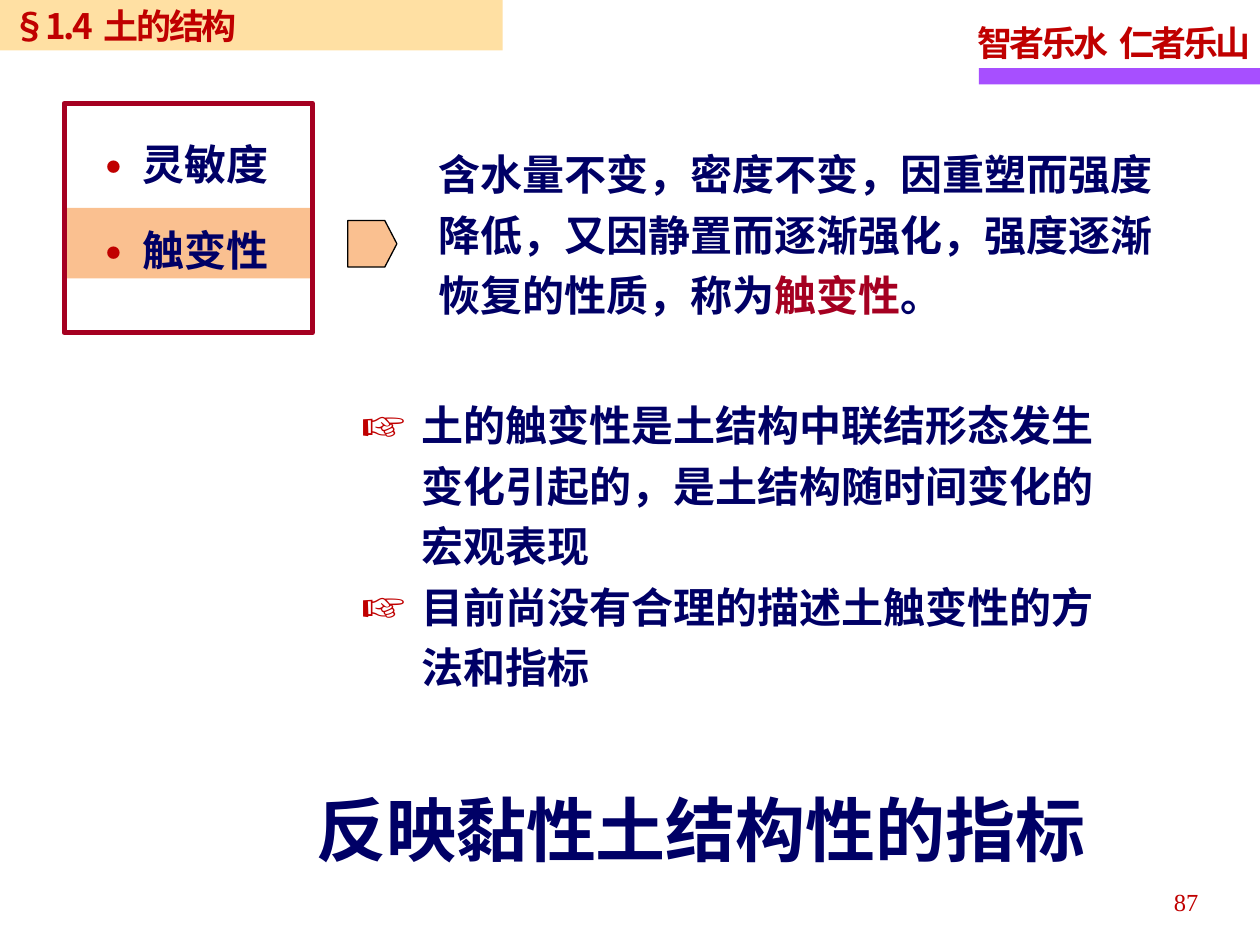
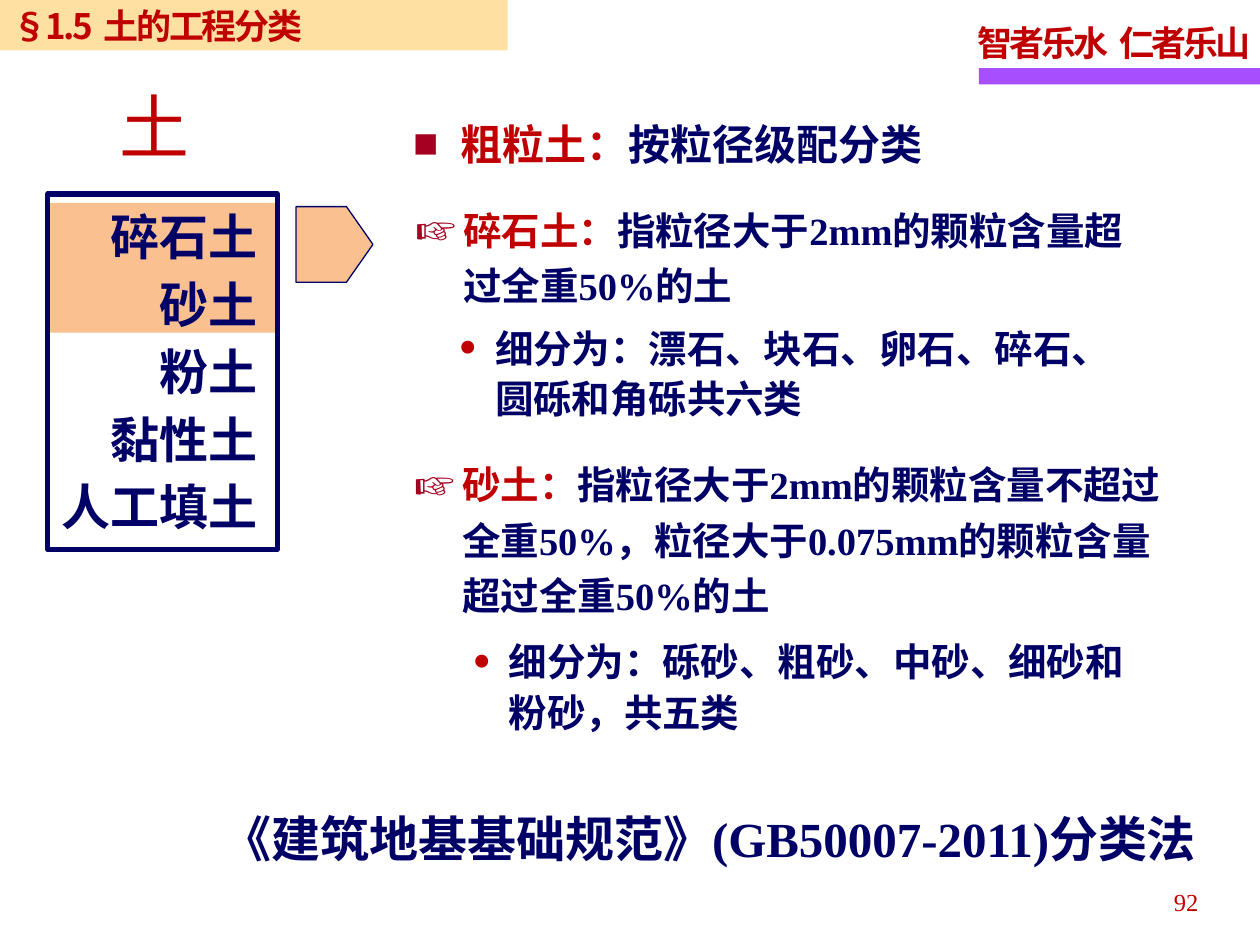
from lxml.etree import SubElement
from pptx import Presentation
from pptx.dml.color import RGBColor
from pptx.enum.shapes import MSO_SHAPE
from pptx.enum.text import MSO_ANCHOR, MSO_AUTO_SIZE, PP_ALIGN
from pptx.oxml.ns import qn
from pptx.util import Inches, Pt

rgb = RGBColor.from_string
NAVY, RED, WINE = "000066", "C00000", "A50021"
PEACH, SAND, VIOLET = "FAC090", "FFCC66", "A74FFF"
TIMES, NOTO, ARIAL = "Times New Roman", "Noto Sans CJK SC", "Arial"
RECT, ARROW = MSO_SHAPE.RECTANGLE, MSO_SHAPE.PENTAGON

prs = Presentation()
prs.slide_width, prs.slide_height = Inches(10), Inches(7.5)
col, row = prs.slide_width / 100, prs.slide_height / 75


def place(s, at, kind=None, fill=None, line=None, width=3, adj=None):
    x, y, w, h = at
    box = int(x * col), int(y * row), int(w * col), int(h * row)
    if kind is None:
        return s.shapes.add_textbox(*box)
    sp = s.shapes.add_shape(kind, *box)
    sp.shadow.inherit = False
    if adj:
        sp.adjustments[0] = adj
    if fill:
        sp.fill.solid()
        sp.fill.fore_color.rgb = rgb(fill)
    else:
        sp.fill.background()
    if line:
        sp.line.color.rgb = rgb(line)
        sp.line.width = Pt(width)
    else:
        sp.line.fill.background()
    return sp


def write(sp, paras, size, ls=1, font=TIMES, bold=True, al=PP_ALIGN.LEFT,
          bullet=None, gap=0, inset=None, wrap=True):
    tf = sp.text_frame
    tf.word_wrap = wrap
    tf.auto_size = MSO_AUTO_SIZE.NONE
    if inset is not None:
        tf.margin_left = tf.margin_right = int(inset * col)
        tf.margin_top = tf.margin_bottom = int(inset * row)
    for i, runs in enumerate(paras):
        p = tf.add_paragraph() if i else tf.paragraphs[0]
        if bullet:
            char, color, scale, indent = bullet
            pPr = p._p.get_or_add_pPr()
            pPr.set("marL", str(int(indent * col)))
            pPr.set("indent", str(-int(indent * col)))
            SubElement(SubElement(pPr, qn("a:buClr")), qn("a:srgbClr")).set("val", color)
            SubElement(pPr, qn("a:buSzPct")).set("val", str(scale * 1000))
            SubElement(pPr, qn("a:buFont")).set("typeface", font)
            SubElement(pPr, qn("a:buChar")).set("char", char)
        p.alignment = al
        p.line_spacing = Pt(round(size * 1.2 * ls, 1))
        p.space_before = Pt(gap if i else 0)
        p.space_after = Pt(0)
        for text, color, *spc in runs:
            r = p.add_run()
            r.text = text
            r.font.size, r.font.bold, r.font.name = Pt(size), bold, font
            r.font.color.rgb = rgb(color)
            rPr = r._r.get_or_add_rPr()
            SubElement(rPr, qn("a:ea")).set("typeface", NOTO)
            if spc:
                rPr.set("spc", str(int(spc[0] * 100)))


hand = "☞", WINE, 130, 3.8
dot = "•", RED, 140, 2.9

slides = [
    dict(
        title=("§1.4", "土的结构"), band=39.9, number="87",
        shapes=[
            dict(at=(5.1, 16.5, 19.7, 5.6), kind=RECT, fill=PEACH),
            dict(at=(27.6, 17.5, 3.9, 3.7), kind=ARROW, fill=PEACH,
                 line="000000", width=0.75, adj=0.26),
            dict(at=(5.1, 8.2, 19.7, 18.2), kind=RECT, line=WINE),
        ],
        texts=[
            ((33.8, 10.5, 61.7, 15.6), dict(size=24, ls=1.2, paras=[[
                ("含水量不变，密度不变，因重塑而强度降低，又因静置而逐渐强化，"
                 "强度逐渐恢复的性质，称为", NAVY), ("触变性", WINE), ("。", NAVY)]])),
            ((25.1, 62.4, 66.9, 7.7), dict(size=40, inset=0, paras=[
                [("反映黏性土结构性的指标", NAVY)]])),
            ((27.7, 30.4, 61.7, 25.2), dict(size=24, ls=1.2, bullet=("☞", RED, 130, 4.8), paras=[
                [("土的触变性是土结构中联结形态发生变化引起的，是土结构随时间变化的宏观表现", NAVY)],
                [("目前尚没有合理的描述土触变性的方法和指标", NAVY)]])),
            ((5.7, 8.7, 17.7, 13.8), dict(
                size=24, ls=1.45, font=NOTO, gap=7.2, bullet=("•", RED, 140, 4.4),
                paras=[[("灵敏度", NAVY)], [("触变性", NAVY)]])),
        ]),
    dict(
        title=("§1.5", "土的工程分类"), band=40.3, number="92",
        shapes=[
            dict(at=(3.8, 16.1, 18.2, 10.3), kind=RECT, fill=PEACH),
            dict(at=(3.8, 15.4, 18.2, 28.2), kind=RECT, line=NAVY),
            dict(at=(23.5, 16.4, 6.1, 6), kind=ARROW, fill=PEACH,
                 line=NAVY, width=0.75, adj=0.35),
        ],
        texts=[
            ((4.2, 15.7, 16.2, 27.1), dict(
                size=28, ls=1.15, font=ARIAL, al=PP_ALIGN.RIGHT, inset=0,
                paras=[[(soil, NAVY)] for soil in
                       ("碎石土", "砂土", "粉土", "黏性土", "人工填土")])),
            ((8.5, 6.1, 7.9, 7.9), dict(size=40, bold=False, paras=[[("土", RED)]])),
            ((31.8, 8.1, 53.4, 5.9), dict(size=24, ls=1.2, bullet=("■", WINE, 100, 3.8), paras=[
                [("粗粒土：", RED), ("按粒径级配分类", NAVY)]])),
            ((32, 15.2, 58.4, 9.9), dict(size=22, ls=1.2, bullet=hand, paras=[
                [("碎石土：", RED), ("指粒径大于2mm的颗粒含量超过全重50%的土", NAVY)]])),
            ((35.4, 24.9, 54.2, 9.2), dict(size=22, ls=1.1, bullet=dot, paras=[
                [("细分为：漂石、块石、卵石、碎石、圆砾和角砾共六类", NAVY)]])),
            ((31.9, 35.4, 61.6, 14.3), dict(size=22, ls=1.2, bullet=hand, paras=[
                [("砂土：", RED), ("指粒径大于2mm的颗粒含量不超过全重50%，"
                                "粒径大于0.075mm的颗粒含量超过全重50%的土", NAVY)]])),
            ((36.5, 49.8, 54.2, 9.2), dict(size=22, ls=1.1, bullet=dot, paras=[
                [("细分为：砾砂、粗砂、中砂、细砂和粉砂，共五类", NAVY)]])),
            ((16, 63.7, 80.6, 5.7), dict(size=28, al=PP_ALIGN.CENTER, paras=[
                [("《建筑地基基础规范》(GB50007-2011)分类法", NAVY)]])),
        ]),
]

for page in slides:
    s = prs.slides.add_slide(prs.slide_layouts[5])

    title = s.shapes.title
    title.left, title.top = 0, 0
    title.width, title.height = int(page["band"] * col), int(4 * row)
    title.fill.solid()
    title.fill.fore_color.rgb = rgb(SAND)
    tint = title._element.spPr.find(".//" + qn("a:srgbClr"))
    SubElement(tint, qn("a:alpha")).set("val", "60000")
    title.text_frame.vertical_anchor = MSO_ANCHOR.MIDDLE
    section, name = page["title"]
    write(title, [[(section, RED, -1.4), (" ", RED, 1.6), (name, RED, -1.4)]], 20, font=NOTO)

    place(s, (77.7, 5.4, 22.3, 1.3), RECT, VIOLET)
    write(place(s, (76.6, 0.7, 23.6, 4.9)),
          [[("智者乐水", RED, -1.7), (" ", RED, 1.6), ("仁者乐山", RED, -1.7)]],
          20, ls=1.15, wrap=False)
    write(place(s, (72.8, 69.6, 23.3, 4)), [[(page["number"], RED)]],
          14, ls=1.15, bold=False, al=PP_ALIGN.RIGHT)

    for shape in page["shapes"]:
        place(s, **shape)
    for at, style in page["texts"]:
        write(place(s, at), **style)

prs.save("out.pptx")
